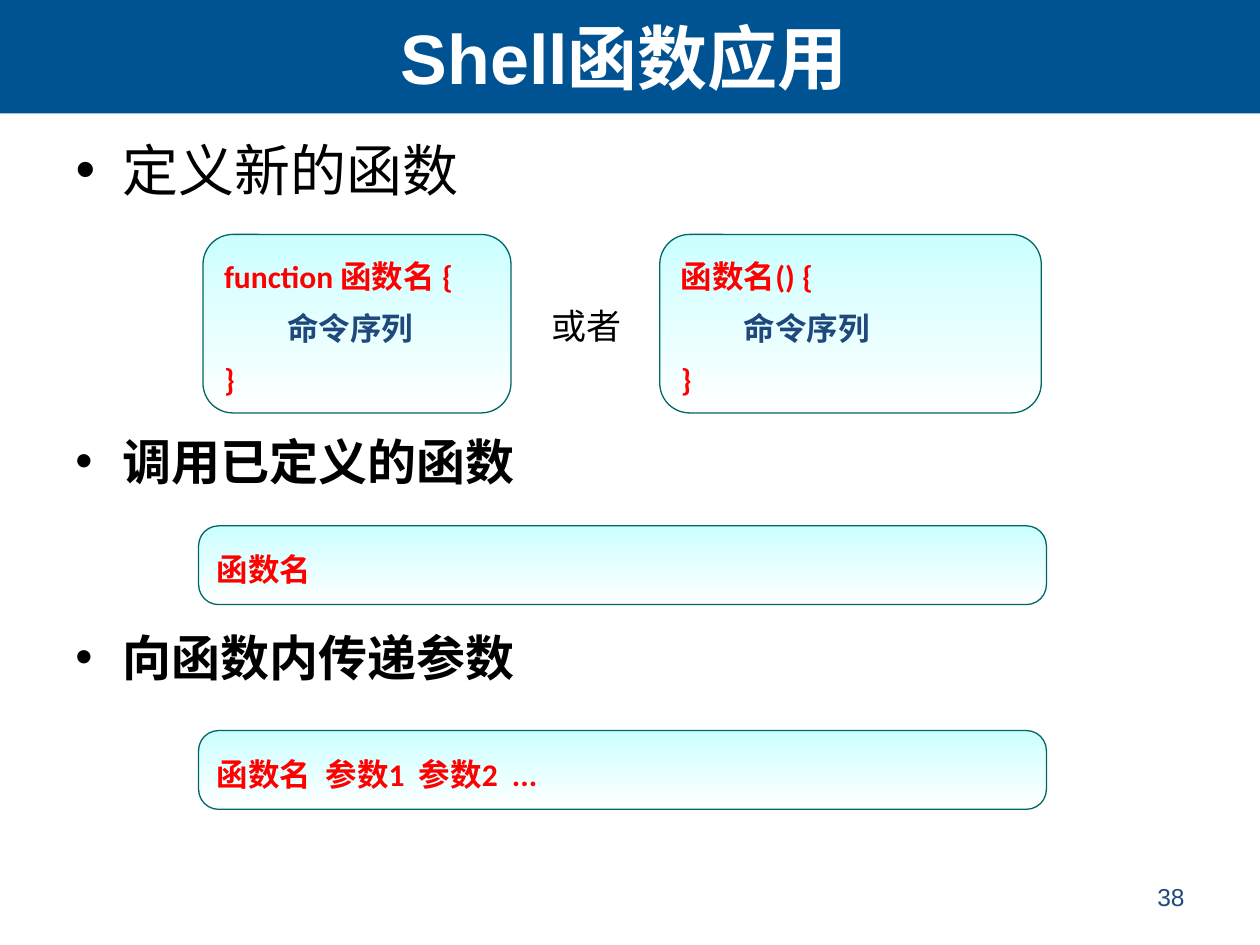
from dataclasses import dataclass

from lxml import etree
from pptx import Presentation
from pptx.dml.color import RGBColor
from pptx.enum.shapes import MSO_SHAPE
from pptx.enum.text import MSO_ANCHOR, PP_ALIGN
from pptx.oxml.ns import qn
from pptx.util import Pt

RECTANGLE, ROUNDED = MSO_SHAPE.RECTANGLE, MSO_SHAPE.ROUNDED_RECTANGLE
TOP, MIDDLE = MSO_ANCHOR.TOP, MSO_ANCHOR.MIDDLE
LEFT, CENTER, RIGHT = PP_ALIGN.LEFT, PP_ALIGN.CENTER, PP_ALIGN.RIGHT

WHITE, BLACK, RED, NAVY = "FFFFFF", "000000", "FF0000", "1F497D"
BAND_BLUE, PALE_CYAN, TEAL = "005392", "CCFFFF", "006666"
HANGING = 27


@dataclass
class Box:
    left: float
    top: float
    width: float
    height: float

    def lengths(self) -> list:
        return [Pt(v) for v in (self.left, self.top, self.width, self.height)]


@dataclass
class Line:
    text: str
    size: float
    color: str = BLACK
    bold: bool = False
    font: str = "Calibri"
    align: int = LEFT
    indent: float = 0
    bullet: bool = False
    spacing: float = 1.0


@dataclass
class CodeBox:
    box: Box
    corner: float
    lines: list


def rgb(color: str) -> RGBColor:
    return RGBColor.from_string(color)


def write_lines(frame, lines: list, anchor=TOP, inset=None) -> None:
    frame.word_wrap = True
    frame.vertical_anchor = anchor
    if inset is not None:
        for side in ("left", "top", "right", "bottom"):
            setattr(frame, f"margin_{side}", Pt(inset))
    for number, line in enumerate(lines):
        paragraph = frame.add_paragraph() if number else frame.paragraphs[0]
        properties = paragraph._p.get_or_add_pPr()
        hanging = HANGING if line.bullet else 0
        properties.set("marL", str(Pt(line.indent + hanging)))
        properties.set("indent", str(-Pt(hanging)))
        if line.bullet:
            etree.SubElement(properties, qn("a:buFont")).set("typeface", "Arial")
            etree.SubElement(properties, qn("a:buChar")).set("char", "•")
        paragraph.alignment = line.align
        paragraph.line_spacing = line.spacing
        paragraph.space_before = Pt(0.2 * line.size if number else 0)
        run = paragraph.add_run()
        run.text = line.text
        formats = {"name": line.font, "size": Pt(line.size), "bold": line.bold}
        for name, value in formats.items():
            setattr(run.font, name, value)
        run.font.color.rgb = rgb(line.color)


def place(shape, box: Box) -> None:
    for name, value in zip(("left", "top", "width", "height"), box.lengths()):
        setattr(shape, name, value)


def add_text(slide, box: Box, line: Line, **options) -> None:
    write_lines(slide.shapes.add_textbox(*box.lengths()).text_frame, [line], **options)


def add_code_box(slide, code: CodeBox) -> None:
    shape = slide.shapes.add_shape(ROUNDED, *code.box.lengths())
    shape.shadow.inherit = False
    shape.adjustments[0] = code.corner
    shape.fill.gradient()
    shape.fill.gradient_angle = 270
    for stop, color, position in zip(shape.fill.gradient_stops, (PALE_CYAN, WHITE), (0, 1)):
        stop.color.rgb = rgb(color)
        stop.position = position
    shape.line.color.rgb = rgb(TEAL)
    shape.line.width = Pt(0.75)
    write_lines(shape.text_frame, code.lines, MIDDLE)


def code_line(text: str, color: str = RED, indent: float = 0) -> Line:
    return Line(text, 18, color, True, indent=indent, spacing=1.2)


def definition(opening: str) -> list:
    return [code_line(opening), code_line("命令序列", NAVY, 36), code_line("}")]


def main() -> None:
    presentation = Presentation()
    presentation.slide_width, presentation.slide_height = Pt(720), Pt(540)
    slide = presentation.slides.add_slide(presentation.slide_layouts[1])
    slide.background.fill.solid()
    slide.background.fill.fore_color.rgb = rgb(WHITE)

    # Title band, sent behind the title
    band = slide.shapes.add_shape(RECTANGLE, *Box(0, 0, 720, 64.8).lengths())
    band.shadow.inherit = False
    band.fill.solid()
    band.fill.fore_color.rgb = rgb(BAND_BLUE)
    band.line.fill.background()
    slide.shapes._spTree.insert(2, band._element)

    # Title and first heading
    title, body = slide.shapes.title, slide.placeholders[1]
    place(title, Box(1.5, 0, 710.5, 64.8))
    write_lines(title.text_frame, [Line("Shell函数应用", 40, WHITE, True, "Arial", CENTER)], MIDDLE)
    place(body, Box(36, 74, 648, 48))
    write_lines(body.text_frame, [Line("定义新的函数", 32, bullet=True)])

    # Remaining headings
    for top, text in ((243, "调用已定义的函数"), (355, "向函数内传递参数")):
        add_text(slide, Box(36, top, 648, 48), Line(text, 28, bold=True, bullet=True))

    # Code boxes
    for code in (
        CodeBox(Box(116, 134, 176, 102), 0.167, definition("function 函数名 {")),
        CodeBox(Box(377, 134, 218, 102), 0.167, definition("函数名() {")),
        CodeBox(Box(113.5, 300.5, 484.5, 45), 0.254, [code_line("函数名")]),
        CodeBox(Box(113.5, 417.5, 484.5, 45), 0.254, [code_line("函数名  参数1  参数2  ...")]),
    ):
        add_code_box(slide, code)

    # Word between the two definitions, and the page number
    add_text(slide, Box(315, 173.5, 51, 25), Line("或者", 20), anchor=MIDDLE, inset=0)
    add_text(slide, Box(504, 500.5, 180, 29), Line("38", 14, NAVY, font="Arial", align=RIGHT))

    presentation.save("out.pptx")


if __name__ == "__main__":
    main()
